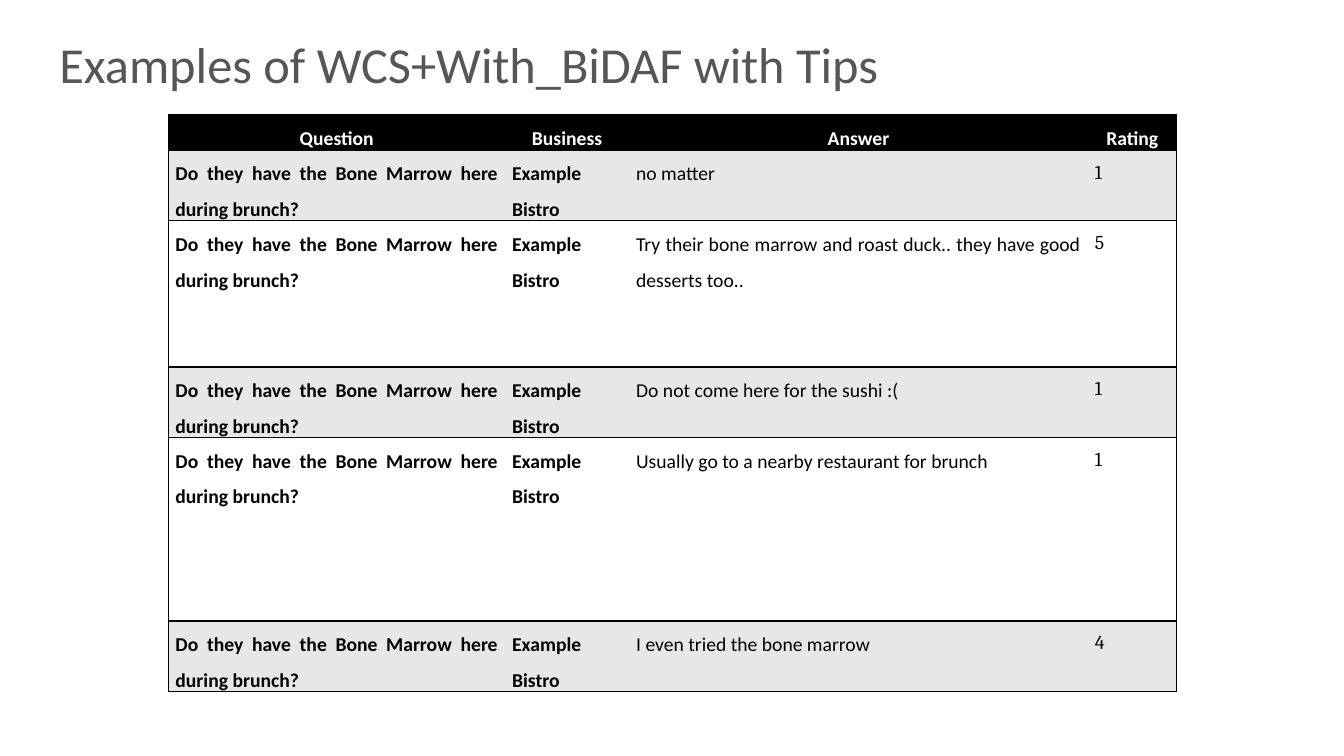
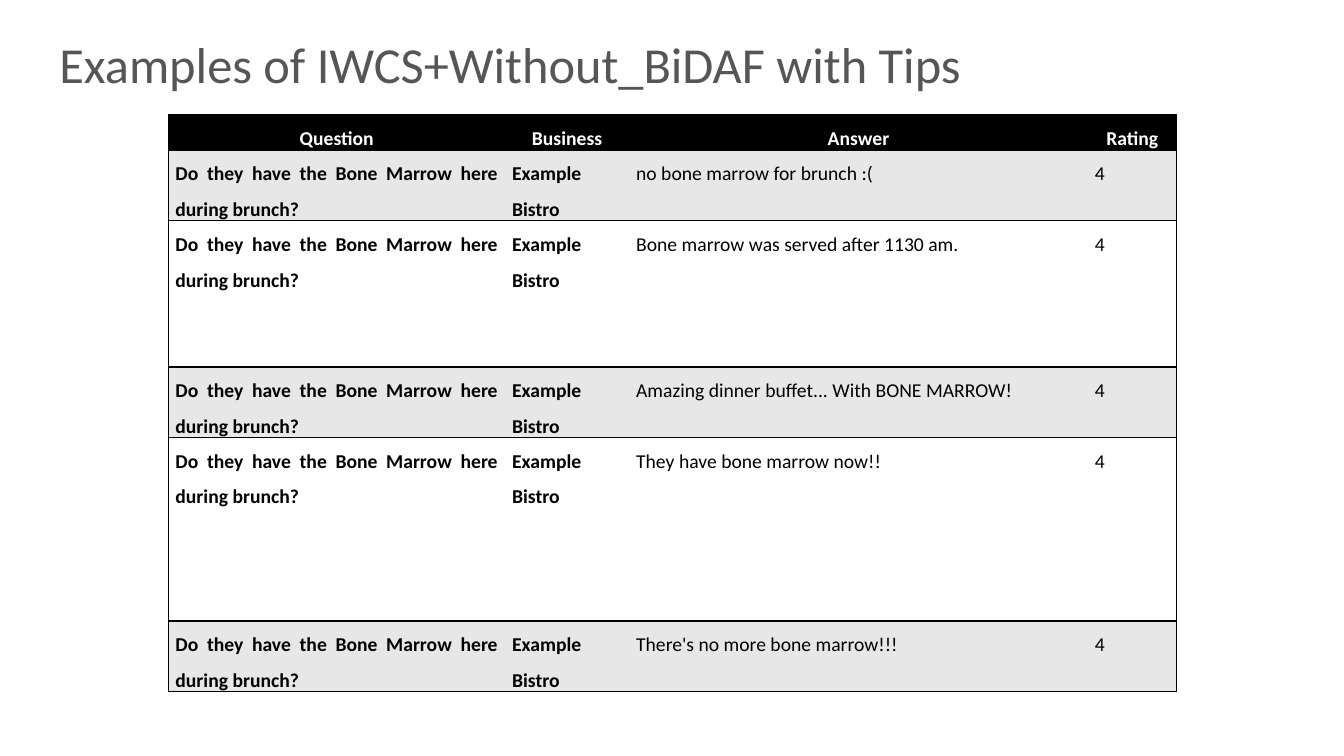
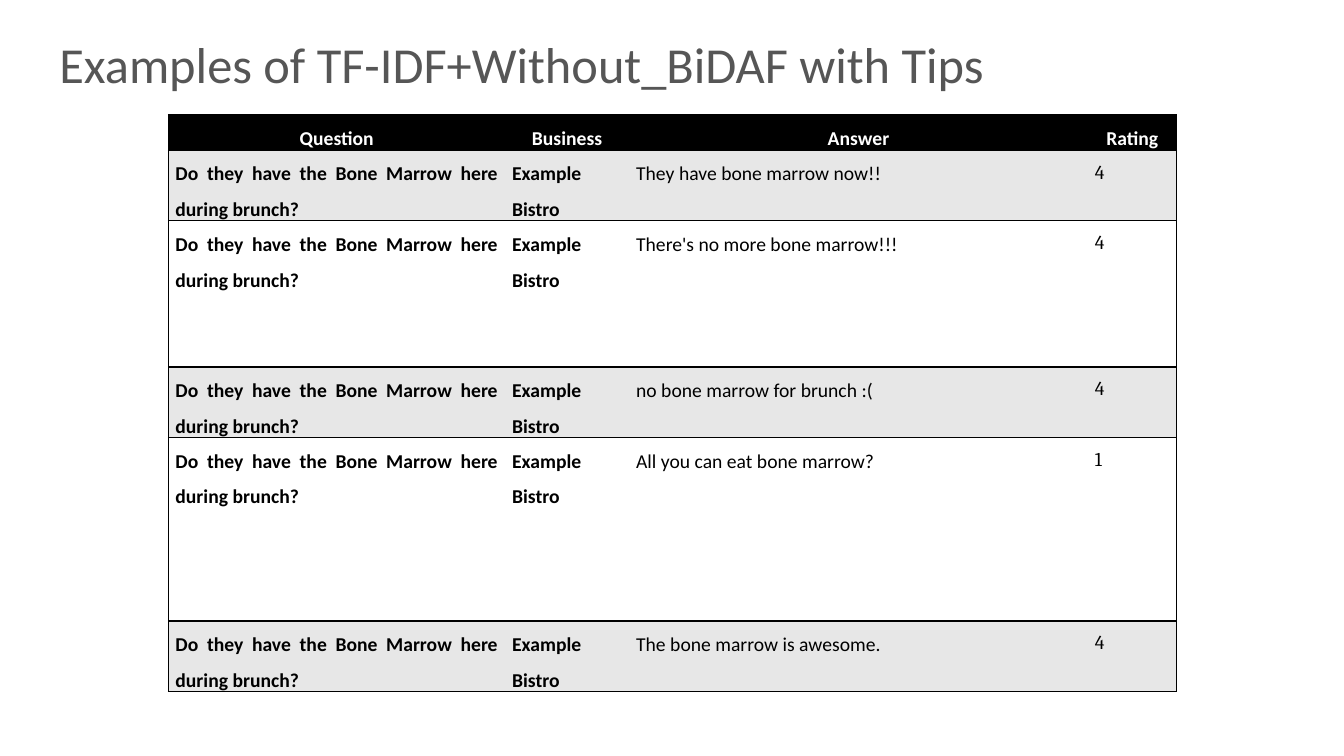
from dataclasses import dataclass

from lxml import etree
from pptx import Presentation
from pptx import util as u
from pptx.dml import color
from pptx.enum import text
from pptx.oxml import ns


@dataclass(frozen=True)
class Theme:
    title_color: str = "565656"
    ink: str = "000000"
    paper: str = "FFFFFF"
    band: str = "E7E7E7"
    title_size: int = 36
    table_size: int = 14
    body_font: str = "Calibri"
    serif_font: str = "Cambria"
    border_width: int = 1


@dataclass(frozen=True)
class Style:
    fill: str
    color: str
    bold: bool
    font: str
    align: text.PP_ALIGN = text.PP_ALIGN.JUSTIFY
    space_after: int = 3


@dataclass(frozen=True)
class Tip:
    answer: str
    rating: int


@dataclass(frozen=True)
class Example:
    method: str
    rating_font: str
    tips: tuple[Tip, ...]


THEME = Theme()
HEADINGS = ("Question", "Business", "Answer", "Rating")
QUESTION = "Do they have the Bone Marrow here during brunch?"
BUSINESS = "Example Bistro"
COLUMN_WIDTHS = (3.34, 1.23, 4.55, 0.88)
ROW_HEIGHTS = (0.33, 0.7, 1.45, 0.7, 1.82, 0.7)

EXAMPLES = (
    Example("WCS+With_BiDAF", THEME.serif_font, (
        Tip("no matter", 1),
        Tip("Try their bone marrow and roast duck.. they have good desserts too..", 5),
        Tip("Do not come here for the sushi :(", 1),
        Tip("Usually go to a nearby restaurant for brunch", 1),
        Tip("I even tried the bone marrow", 4),
    )),
    Example("IWCS+Without_BiDAF", THEME.body_font, (
        Tip("no bone marrow for brunch :(", 4),
        Tip("Bone marrow was served after 1130 am.", 4),
        Tip("Amazing dinner buffet... With BONE MARROW!", 4),
        Tip("They have bone marrow now!!", 4),
        Tip("There's no more bone marrow!!!", 4),
    )),
    Example("TF-IDF+Without_BiDAF", THEME.serif_font, (
        Tip("They have bone marrow now!!", 4),
        Tip("There's no more bone marrow!!!", 4),
        Tip("no bone marrow for brunch :(", 4),
        Tip("All you can eat bone marrow?", 1),
        Tip("The bone marrow is awesome.", 4),
    )),
)


def rgb(value: str) -> color.RGBColor:
    return color.RGBColor.from_string(value)


def add_title(slide, wording: str) -> None:
    shape = slide.shapes.add_textbox(
        u.Inches(0.49), u.Inches(0.28), u.Inches(11.11), u.Inches(0.71))
    frame = shape.text_frame
    frame.word_wrap = True
    frame.auto_size = text.MSO_AUTO_SIZE.SHAPE_TO_FIT_TEXT
    paragraph = frame.paragraphs[0]
    paragraph.text = wording
    paragraph.font.size = u.Pt(THEME.title_size)
    paragraph.font.name = THEME.body_font
    paragraph.font.color.rgb = rgb(THEME.title_color)


def set_borders(cell, visible_sides: str) -> None:
    properties = cell._tc.get_or_add_tcPr()
    for side in "LRTB":
        line = etree.SubElement(properties, ns.qn(f"a:ln{side}"),
                                w=str(u.Pt(THEME.border_width)))
        if side in visible_sides:
            fill = etree.SubElement(line, ns.qn("a:solidFill"))
            etree.SubElement(fill, ns.qn("a:srgbClr"), val=THEME.ink)
        else:
            etree.SubElement(line, ns.qn("a:noFill"))


def fill_cell(cell, wording: str, style: Style, visible_sides: str) -> None:
    set_borders(cell, visible_sides)
    cell.fill.solid()
    cell.fill.fore_color.rgb = rgb(style.fill)
    cell.margin_left = cell.margin_right = u.Inches(0.07)
    cell.margin_top = cell.margin_bottom = u.Inches(0)
    paragraph = cell.text_frame.paragraphs[0]
    paragraph.text = wording
    paragraph.alignment = style.align
    paragraph.line_spacing = 1.5
    paragraph.space_after = u.Pt(style.space_after)
    paragraph.font.size = u.Pt(THEME.table_size)
    paragraph.font.name = style.font
    paragraph.font.bold = style.bold
    paragraph.font.color.rgb = rgb(style.color)


def row_styles(row: int, rating_font: str) -> tuple[Style, ...]:
    if row == 0:
        heading = Style(THEME.ink, THEME.paper, True, THEME.body_font,
                        text.PP_ALIGN.CENTER)
        return (heading,) * len(HEADINGS)
    fill = THEME.band if row % 2 else THEME.paper
    return (
        Style(fill, THEME.ink, True, THEME.body_font),
        Style(fill, THEME.ink, True, THEME.body_font, space_after=0),
        Style(fill, THEME.ink, False, THEME.body_font, space_after=0),
        Style(fill, THEME.ink, False, rating_font),
    )


def add_tip_table(slide, example: Example) -> None:
    rows = [HEADINGS] + [(QUESTION, BUSINESS, tip.answer, str(tip.rating))
                         for tip in example.tips]
    table = slide.shapes.add_table(
        len(rows), len(HEADINGS), u.Inches(1.67), u.Inches(1.14),
        u.Inches(sum(COLUMN_WIDTHS)), u.Inches(sum(ROW_HEIGHTS))).table
    for column, width in zip(table.columns, COLUMN_WIDTHS):
        column.width = u.Inches(width)
    for row, height in zip(table.rows, ROW_HEIGHTS):
        row.height = u.Inches(height)
    side_borders = ("L", "", "", "R")
    for row_index, wordings in enumerate(rows):
        styles = row_styles(row_index, example.rating_font)
        for column_index, (wording, style, side) in enumerate(
                zip(wordings, styles, side_borders)):
            fill_cell(table.cell(row_index, column_index), wording, style, side + "TB")


def main() -> None:
    presentation = Presentation()
    presentation.slide_width = u.Inches(13.33)
    presentation.slide_height = u.Inches(7.5)
    blank_layout = presentation.slide_layouts[6]
    for example in EXAMPLES:
        slide = presentation.slides.add_slide(blank_layout)
        add_title(slide, f"Examples of {example.method} with Tips")
        add_tip_table(slide, example)
    presentation.save("out.pptx")


if __name__ == "__main__":
    main()
